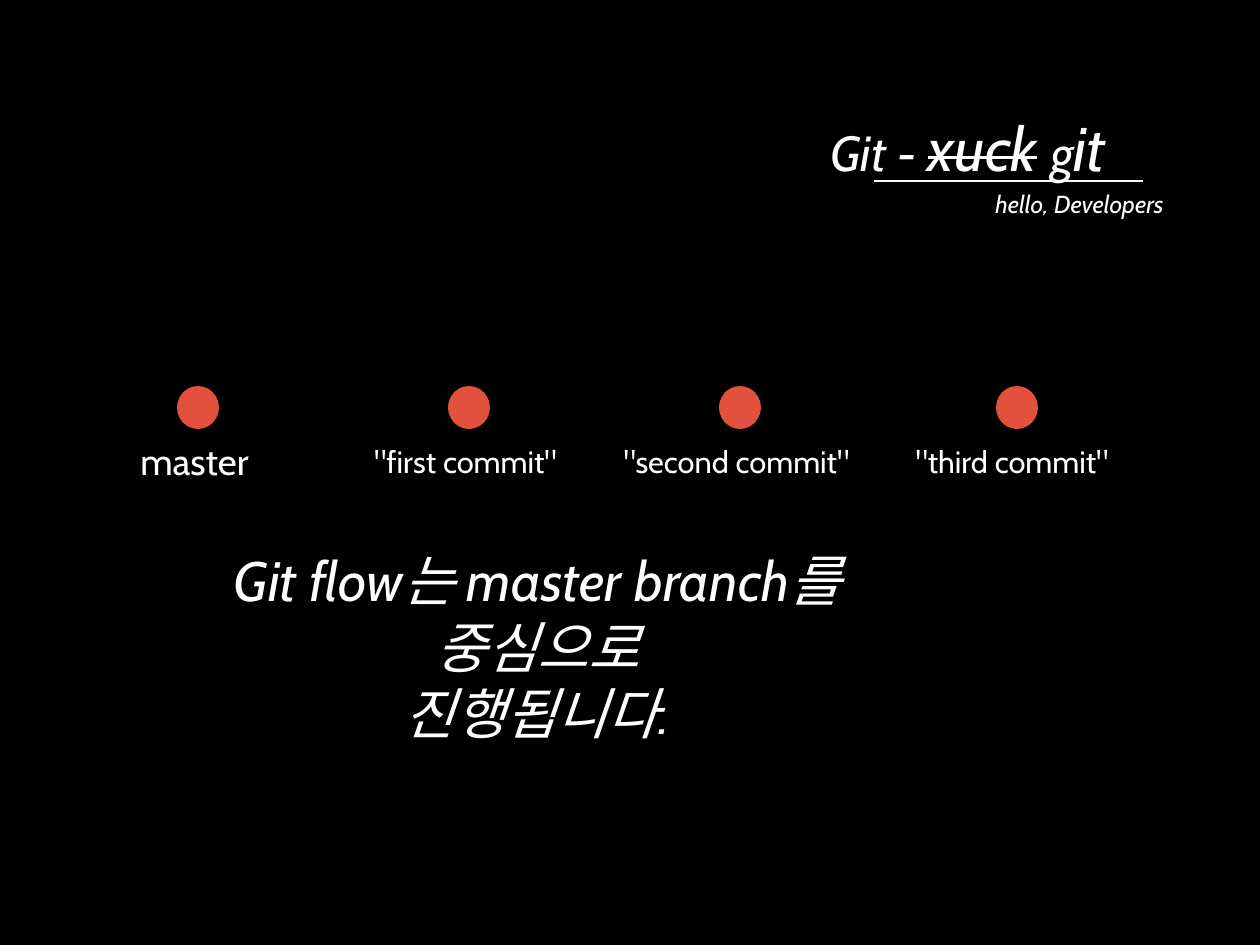
from pptx import Presentation
from pptx.dml.color import RGBColor
from pptx.enum.shapes import MSO_CONNECTOR, MSO_SHAPE
from pptx.enum.text import MSO_ANCHOR, MSO_AUTO_SIZE, PP_ALIGN
from pptx.oxml.ns import qn
from pptx.util import Pt
from lxml import etree

PX = 10320
LINE = MSO_CONNECTOR.STRAIGHT
OVAL = MSO_SHAPE.OVAL
MIDDLE = MSO_ANCHOR.MIDDLE
FIT_SHAPE = MSO_AUTO_SIZE.SHAPE_TO_FIT_TEXT
CENTER = PP_ALIGN.CENTER
WHITE = "FFFFFF"
RED = "E2513D"


def rgb(value):
    return RGBColor.from_string(value)


def write(sp, paragraphs, size, italic=False, wrap=False):
    """Fill a shape with centred white paragraphs, each a list of run texts."""
    tf = sp.text_frame
    tf.word_wrap = wrap
    tf.auto_size = FIT_SHAPE
    tf.vertical_anchor = MIDDLE
    tf.margin_left = tf.margin_right = tf.margin_top = tf.margin_bottom = 5 * PX
    for i, runs in enumerate(paragraphs):
        p = tf.add_paragraph() if i else tf.paragraphs[0]
        p.alignment = CENTER
        p.font.name = "Cabin"
        p.font.size = Pt(size)
        p.font.italic = italic
        p.font.color.rgb = rgb(WHITE)
        for text in runs:
            p.add_run().text = text


prs = Presentation()
prs.slide_width = 1260 * PX
prs.slide_height = 945 * PX
slide = prs.slides.add_slide(prs.slide_layouts[5])
slide.background.fill.solid()
slide.background.fill.fore_color.rgb = rgb("000000")

# Heading with its rule and subtitle
rule = slide.shapes.add_connector(LINE, 874 * PX, 181 * PX, 1143 * PX, 181 * PX)
rule.line.color.rgb = rgb(WHITE)
rule.line.width = Pt(1.5)
etree.SubElement(rule._element.spPr, qn("a:effectLst"))

title = slide.shapes.title
title.left, title.top, title.width, title.height = 818 * PX, 110 * PX, 300 * PX, 73 * PX
write(title, [["Git - ", "xuck", " ", "g", "it"]], 50, italic=True)
runs = title.text_frame.paragraphs[0].runs
runs[0].font.size = runs[3].font.size = Pt(40)
runs[1].font._element.set("strike", "sngStrike")

subtitle = slide.shapes.add_textbox(986 * PX, 186 * PX, 187 * PX, 35 * PX)
write(subtitle, [["hello, Developers"]], 20, italic=True)

# Commits on the master branch: dot left, label left, label width, size, label
commits = [
    (177, 132, 125, 30, "master"),
    (448, 365, 201, 25, '"first commit"'),
    (719, 615, 243, 25, '"second commit"'),
    (996, 905, 214, 25, '"third commit"'),
]
for dot_left, label_left, label_width, size, text in commits:
    dot = slide.shapes.add_shape(OVAL, dot_left * PX, 386 * PX, 42 * PX, 43 * PX)
    dot.shadow.inherit = False
    dot.fill.solid()
    dot.fill.fore_color.rgb = rgb(RED)
    dot.line.fill.background()
    height = 48 if size == 30 else 41
    label = slide.shapes.add_textbox(
        label_left * PX, (461 - height // 2) * PX, label_width * PX, height * PX)
    write(label, [[text]], size)

message = slide.shapes.add_textbox(202 * PX, 546 * PX, 670 * PX, 200 * PX)
write(message, [["Git flow는 master branch를 중심으로"], ["진행됩니다."]], 45,
      italic=True, wrap=True)

prs.save("out.pptx")
